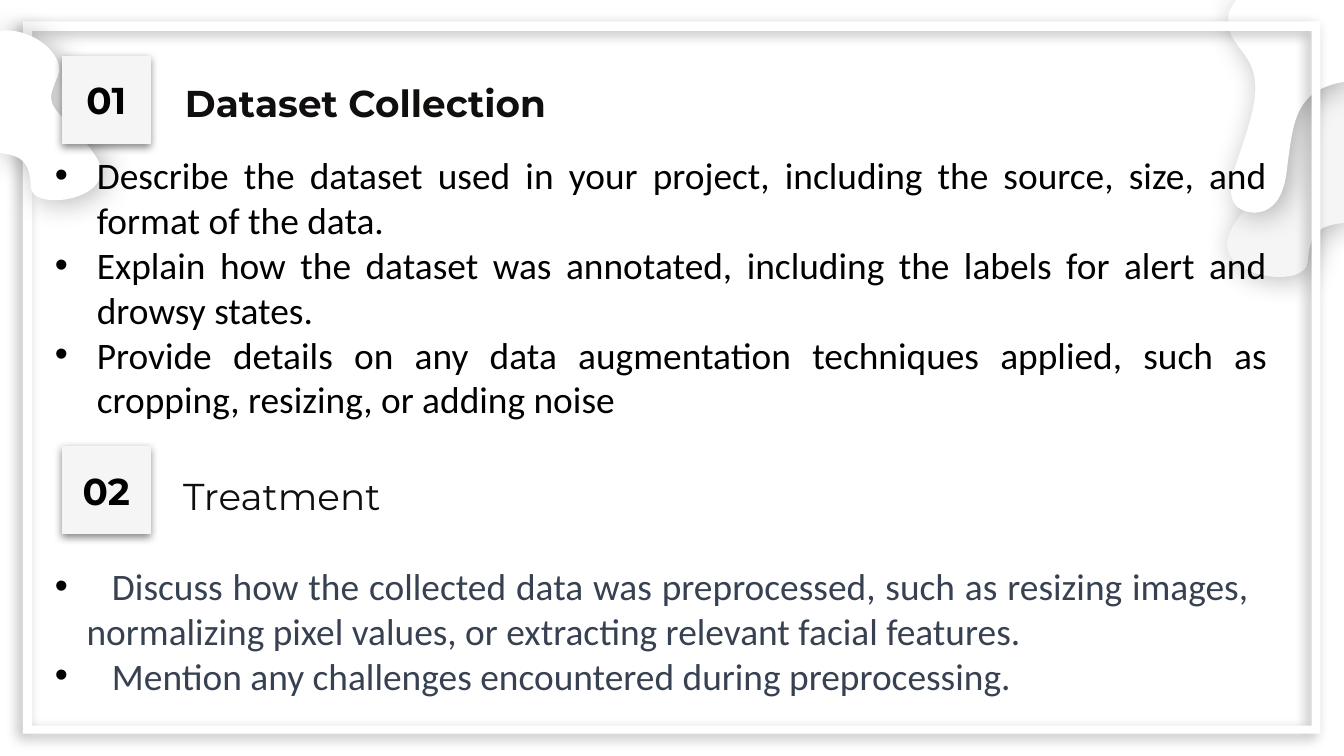
from lxml import etree
from pptx import Presentation
from pptx.dml.color import RGBColor
from pptx.enum import shapes, text
from pptx.oxml import ns
from pptx.util import Pt

INK = RGBColor(0x11, 0x0E, 0x0E)
BLACK = RGBColor(0, 0, 0)
SLATE = RGBColor(0x37, 0x41, 0x51)
PALE = RGBColor(0xF5, 0xF5, 0xF5)
WHITE = RGBColor(0xFF, 0xFF, 0xFF)

# Each blob: fill, then a start point followed by lines (2 numbers) and curves (6 numbers)
BLOBS = [
    (PALE, [(657.4, 131), (657.4, 127.4, 658.8, 124.6, 661, 120.2),
            (675.4, 99.4, 688.3, 95.8, 688.3, 85), (688.3, 81.4, 687.6, 78.5, 685.4, 73.4),
            (684, 72, 684, 69.8, 684, 67.7), (684, 54.7, 703.4, 41, 720, 43.9),
            (720, 119.5), (703.4, 121, 702, 127.4, 700.6, 140.4),
            (699.8, 154.1, 657.4, 149.8, 657.4, 131)]),
    (WHITE, [(720, 0), (662.4, 0), (660.2, 2.9, 658.8, 5, 658.1, 7.9),
             (658.1, 9.4, 658.1, 10.1, 658.1, 11.5), (658.1, 25.2, 672.5, 28.1, 672.5, 46.8),
             (672.5, 49.7, 672.5, 51.8, 671.8, 55.4), (668.2, 74.9, 659.5, 90.7, 659.5, 101.5),
             (659.5, 106.6, 661, 110.9, 666.7, 113), (666.7, 113, 684.7, 120.2, 689, 94.3),
             (692.6, 67.7, 692.6, 50.4, 716.4, 44.6), (717.8, 44.6, 718.6, 43.9, 720, 43.9)]),
    (WHITE, [(54, 92.2), (54, 89.3, 53.3, 86.4, 51.1, 83.5),
             (38.9, 64.8, 27.4, 61.2, 27.4, 51.8), (27.4, 49.7, 28.8, 46.1, 30.2, 42.5),
             (31, 41, 31.7, 38.9, 31.7, 37.4), (31.7, 25.9, 14.4, 14.4, 0, 16.6),
             (0, 82.1), (14.4, 83.5, 15.8, 89.3, 16.6, 100.8),
             (18, 112.3, 54, 108, 54, 92.2)]),
]
OUTER = (12.2, 11.5, 707.4, 393.1)
INNER = (17.3, 16.6, 702.7, 388.8)

# Shadow: opacity %, blur, distance, angle
SOFT, RIM, TILE = (30, 15.8, 3, 23), (30, 6.8, 3, 127), (50, 4.5, 1.5, 90)

SECTIONS = [
    {"num": "01", "tile": 30.2, "head": "Dataset Collection", "bold": True,
     "box": (79.9, 32.4, 247, 41.8), "body": (22.3, 78.1, 663.8, 152.6),
     "color": BLACK, "hang": 22.5, "tab": None, "items": [
         "Describe the dataset used in your project, including the source, size, and format of the data.",
         "Explain how the dataset was annotated, including the labels for alert and drowsy states.",
         "Provide details on any data augmentation techniques applied, such as cropping, resizing, or adding noise"]},
    {"num": "02", "tile": 239.2, "head": "Treatment", "bold": False,
     "box": (91, 243, 247, 41.8), "body": (22.3, 298.1, 654, 79.9),
     "color": SLATE, "hang": 17, "tab": 30.6, "items": [
         "Discuss how the collected data was preprocessed, such as resizing images, normalizing pixel values, or extracting relevant facial features.",
         "Mention any challenges encountered during preprocessing."]},
]


def node(up, tag, **attrs):
    return etree.SubElement(up, ns.qn("a:" + tag), {k: str(v) for k, v in attrs.items()})


def shade(shape, look):
    alpha, blur, dist, angle = look
    shape.shadow.inherit = False
    fx = shape._element.spPr.find(ns.qn("a:effectLst"))
    cast = node(fx, "outerShdw", blurRad=Pt(blur), dist=Pt(dist), dir=angle * 60000,
                algn="bl", rotWithShape=0)
    node(node(cast, "srgbClr", val=INK), "alpha", val=alpha * 1000)


def bend(shape, steps):
    """Turn the segments that have control points into Bezier curves."""
    lines = list(shape._element.iter(ns.qn("a:lnTo")))
    for line, step in zip(lines, steps):
        if len(step) == 6:
            line.tag = ns.qn("a:cubicBezTo")
            line.clear()
            for x, y in zip(step[::2], step[1::2]):
                node(line, "pt", x=Pt(x) - shape.left, y=Pt(y) - shape.top)


def draw(rings, fill, look):
    """Add one freeform made of closed rings of steps."""
    ends = [[(Pt(s[-2]), Pt(s[-1])) for s in ring] for ring in rings]
    pen = slide.shapes.build_freeform(*ends[0][0])
    for i, ring in enumerate(ends):
        if i:
            pen.move_to(*ring[0])
        pen.add_line_segments(ring[1:], close=False)
        pen._add_close()
    shape = pen.convert_to_shape()
    bend(shape, [s for ring in rings for s in ring[1:]])
    shape.fill.solid()
    shape.fill.fore_color.rgb = fill
    shape.line.fill.background()
    shade(shape, look)


def write(par, words, align, color, face="Montserrat", bold=False):
    par.alignment = align
    run = par.add_run()
    run.text = words
    run.font.color.rgb = color
    for key, val in {"size": Pt(20), "name": face, "bold": bold}.items():
        setattr(run.font, key, val)


def setup(frame, anchor, pad=None):
    form = {"word_wrap": True, "auto_size": text.MSO_AUTO_SIZE.NONE, "vertical_anchor": anchor}
    if pad:
        form.update({"margin_" + s: Pt(pad) for s in ("left", "top", "right", "bottom")})
    for key, val in form.items():
        setattr(frame, key, val)


def place(shape, box):
    for key, val in zip(("left", "top", "width", "height"), box):
        setattr(shape, key, Pt(val))


def indent(par, left, first):
    ppr = par._p.get_or_add_pPr()
    ppr.set("marL", str(Pt(left)))
    ppr.set("indent", str(Pt(first)))
    return ppr


def bullet(par, hang, tab):
    ppr = indent(par, hang, -hang)
    node(node(ppr, "buClr"), "srgbClr", val=BLACK)
    node(ppr, "buFont", typeface="Arial")
    node(ppr, "buChar", char="•")
    if tab:
        node(node(ppr, "tabLst"), "tab", pos=Pt(tab), algn="l")


def corners(x1, y1, x2, y2):
    return [(x1, y1), (x2, y1), (x2, y2), (x1, y2)]


deck = Presentation()
deck.slide_width, deck.slide_height = Pt(720), Pt(405)
slide = deck.slides.add_slide(deck.slide_layouts[5])
side, mid = text.PP_ALIGN, text.MSO_ANCHOR

for fill, steps in BLOBS[:2]:
    draw([steps], fill, SOFT)
draw([corners(*OUTER), corners(*INNER)[::-1]], WHITE, RIM)
draw([BLOBS[2][1]], BLOBS[2][0], SOFT)

for i, sec in enumerate(SECTIONS):
    head = slide.shapes.add_textbox(0, 0, 0, 0) if i else slide.shapes.title
    place(head, sec["box"])
    setup(head.text_frame, mid.BOTTOM, 7.2)
    par = head.text_frame.paragraphs[0]
    write(par, sec["head"], side.LEFT, INK, bold=sec["bold"])
    if not i:
        indent(par, 36, -24)

    tile = slide.shapes.add_shape(shapes.MSO_SHAPE.RECTANGLE, 0, 0, 0, 0)
    place(tile, (33.5, sec["tile"], 46.8, 46.8))
    tile.fill.solid()
    tile.fill.fore_color.rgb = tile.line.color.rgb = PALE
    tile.line.width = Pt(0.75)
    shade(tile, TILE)
    setup(tile.text_frame, mid.MIDDLE, 7.2)
    write(tile.text_frame.paragraphs[0], sec["num"], side.CENTER, BLACK, bold=True)

    frame = slide.shapes.add_textbox(*map(Pt, sec["body"])).text_frame
    setup(frame, mid.TOP)
    for j, item in enumerate(sec["items"]):
        par = frame.add_paragraph() if j else frame.paragraphs[0]
        lead = "\t" if sec["tab"] else ""
        write(par, lead + item, side.JUSTIFY, sec["color"], "Calibri")
        bullet(par, sec["hang"], sec["tab"])

deck.save("out.pptx")
